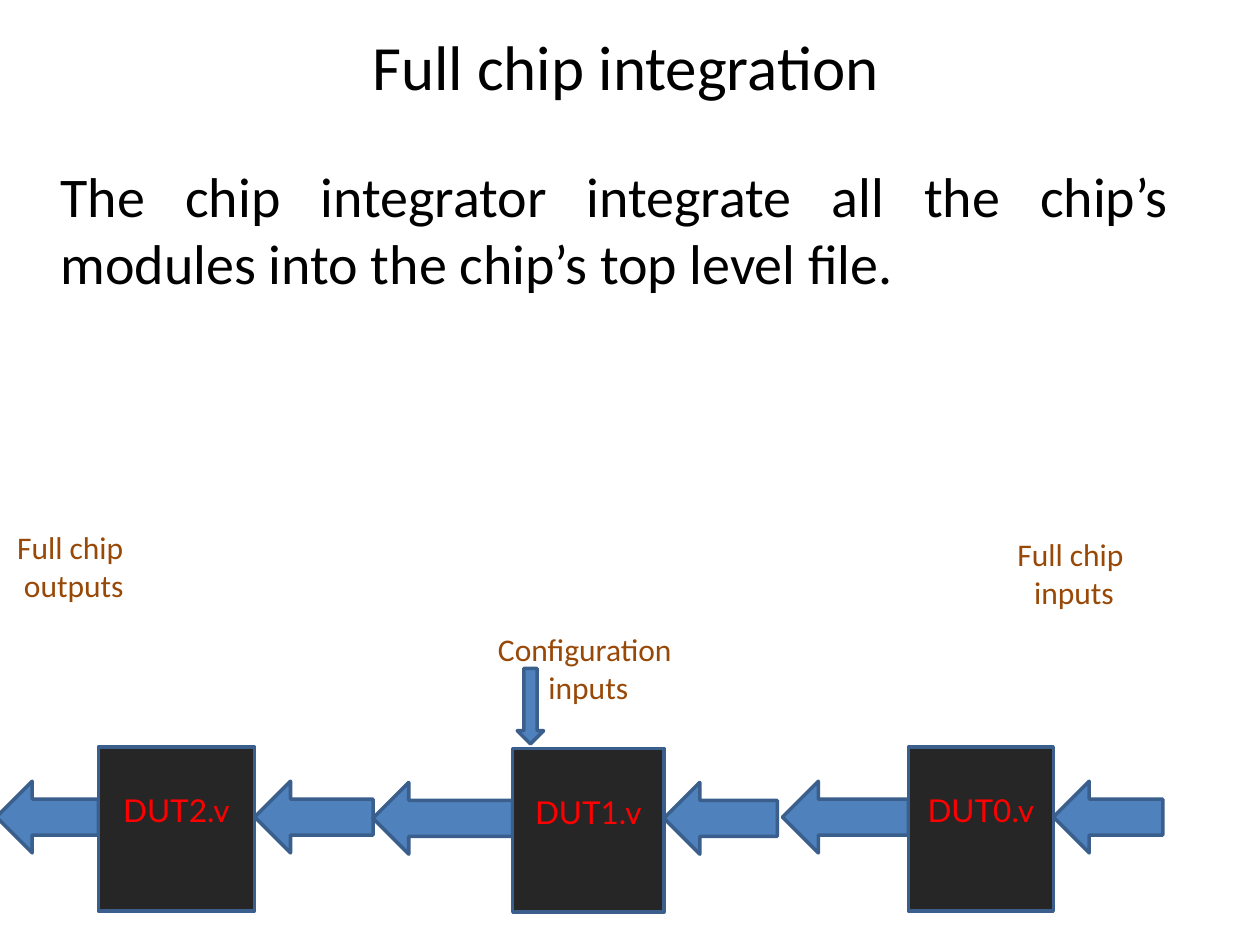
"""Build the full chip integration slide."""
import pptx
import pptx.dml.color
import pptx.enum.shapes
import pptx.enum.text
import pptx.oxml.ns
import pptx.util

Pt = pptx.util.Pt
ALIGN = pptx.enum.text.PP_ALIGN
ANCHOR = pptx.enum.text.MSO_ANCHOR
SHAPE = pptx.enum.shapes.MSO_SHAPE
COLORS = {
    "arrow": "4F81BD",
    "outline": "3A5F8C",
    "module": "262626",
    "module_name": "FF0000",
    "label": "984807",
    "text": "000000",
}
MODULES = [
    ("DUT2.v", 56.2, 427, 89.3, 67.7, 58.3),
    ("DUT1.v", 293, 427.7, 86.4, 64.8, 79.9),
    ("DUT0.v", 519.1, 427, 82.8, 62.6, 72),
]
LABELS = [
    (("Full chip ", "inputs"), 573.8, 302.4, 79.9),
    (("Full chip ", "outputs"), 2.2, 298.1, 79.9),
    (("Configuration ", "inputs"), 276.5, 356.4, 119.5),
]
MODULE_HEIGHT = 93.6
ARROW_HEIGHT = 41
ARROW_DROP = 19.4


def color(name):
    return pptx.dml.color.RGBColor.from_string(COLORS[name])


def apply(target, values):
    for name, value in values.items():
        setattr(target, name, value)


def write_paragraph(paragraph, text, size, font, color_name, alignment):
    paragraph.text = text
    paragraph.alignment = alignment
    apply(paragraph.font, {"size": Pt(size), "name": font})
    paragraph.font.color.rgb = color(color_name)


def fill_placeholder(placeholder, text, box, size, alignment, anchor):
    apply(placeholder, dict(zip(("left", "top", "width", "height"), map(Pt, box))))
    placeholder.text_frame.vertical_anchor = anchor
    paragraph = placeholder.text_frame.paragraphs[0]
    properties = paragraph._p.get_or_add_pPr()
    apply(paragraph, {"space_before": Pt(0)})
    properties.set("marL", "0")
    properties.set("indent", "0")
    properties.append(pptx.oxml.parse_xml(
        f"<a:buNone {pptx.oxml.ns.nsdecls('a')}/>"))
    write_paragraph(paragraph, text, size, "Calibri", "text", alignment)


def add_block(slide, kind, box, fill, rotation=0):
    shape = slide.shapes.add_shape(kind, *map(Pt, box))
    shape.shadow.inherit = False
    shape.rotation = rotation
    shape.fill.solid()
    shape.fill.fore_color.rgb = color(fill)
    shape.line.color.rgb = color("outline")
    shape.line.width = Pt(2)
    return shape


def add_arrow(slide, box, rotation):
    add_block(slide, SHAPE.RIGHT_ARROW, box, "arrow", rotation)


def add_module(slide, name, left, top, width, input_width, output_width):
    arrow_top = top + ARROW_DROP
    add_arrow(slide, (left + width, arrow_top, input_width, ARROW_HEIGHT), 180)
    add_arrow(slide, (left - output_width, arrow_top, output_width, ARROW_HEIGHT), 180)
    shape = add_block(slide, SHAPE.RECTANGLE, (left, top, width, MODULE_HEIGHT), "module")
    apply(shape.text_frame, {"vertical_anchor": ANCHOR.MIDDLE, "margin_bottom": Pt(25)})
    write_paragraph(shape.text_frame.paragraphs[0], name, 18, "Lato",
                    "module_name", ALIGN.CENTER)


def add_label(slide, lines, left, top, width):
    frame = slide.shapes.add_textbox(Pt(left), Pt(top), Pt(width), Pt(51)).text_frame
    apply(frame, {"word_wrap": False,
                  "auto_size": pptx.enum.text.MSO_AUTO_SIZE.SHAPE_TO_FIT_TEXT})
    for index, line in enumerate(lines):
        paragraph = frame.add_paragraph() if index else frame.paragraphs[0]
        write_paragraph(paragraph, line, 18, "Calibri", "label", ALIGN.CENTER)


def main():
    presentation = pptx.Presentation()
    apply(presentation, {"slide_width": Pt(720), "slide_height": Pt(540)})
    slide = presentation.slides.add_slide(presentation.slide_layouts[1])
    fill_placeholder(slide.shapes.title, "Full chip integration ",
                     (5.8, 2.9, 711.4, 68.4), 36, ALIGN.CENTER, ANCHOR.MIDDLE)
    fill_placeholder(
        slide.placeholders[1],
        "The chip integrator integrate all the chip’s modules "
        "into the chip’s top level file. ",
        (27.4, 88.6, 648, 193), 32, ALIGN.JUSTIFY, ANCHOR.TOP)
    for module in MODULES:
        add_module(slide, *module)
    add_arrow(slide, (281.5, 396, 43.2, 15.1), 90)
    for label in LABELS:
        add_label(slide, *label)
    presentation.save("out.pptx")


if __name__ == "__main__":
    main()
